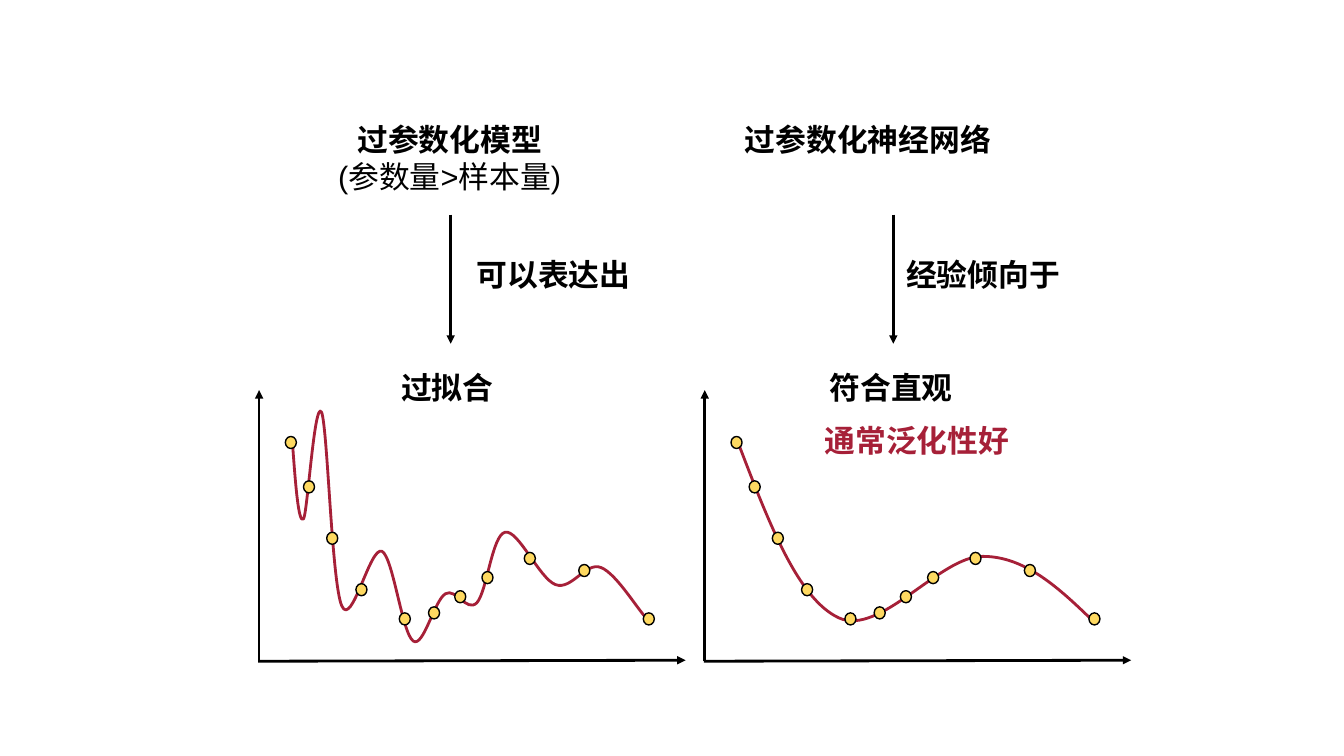
from dataclasses import dataclass

from lxml import etree
from pptx import Presentation
from pptx import util as u
from pptx.dml.color import RGBColor
from pptx.enum import shapes, text
from pptx.oxml import ns
from pptx.slide import Slide

BLACK = RGBColor(0x00, 0x00, 0x00)
CRIMSON = RGBColor(0xA6, 0x20, 0x38)
YELLOW = RGBColor(0xFE, 0xD9, 0x61)
LEFT, CENTER = text.PP_ALIGN.LEFT, text.PP_ALIGN.CENTER

PANEL_SHIFT = 4.42
DOT_WIDTH, DOT_HEIGHT = 0.11, 0.12
Point = tuple[float, float]


@dataclass(frozen=True)
class Label:
    left: float
    top: float
    width: float
    height: float
    lines: tuple[tuple[str, bool], ...]
    color: RGBColor = BLACK
    align: text.PP_ALIGN = LEFT


@dataclass(frozen=True)
class Panel:
    shift: float
    curve: tuple[Point, ...]


@dataclass(frozen=True)
class Arrow:
    start: Point
    end: Point


SAMPLES: tuple[Point, ...] = (
    (2.83, 4.33), (3.01, 4.77), (3.24, 5.28), (3.53, 5.79), (3.96, 6.08), (4.25, 6.02),
    (4.51, 5.86), (4.78, 5.67), (5.2, 5.48), (5.74, 5.6), (6.38, 6.08),
)

OVERFIT_CURVE: tuple[Point, ...] = (
    (2.9, 4.38),
    (2.93, 4.79), (2.96, 5.2), (3.01, 5.15),
    (3.05, 5.1), (3.12, 3.95), (3.19, 4.09),
    (3.25, 4.24), (3.29, 5.78), (3.39, 6.01),
    (3.49, 6.24), (3.67, 5.41), (3.79, 5.47),
    (3.9, 5.53), (3.99, 6.29), (4.1, 6.36),
    (4.2, 6.43), (4.31, 5.95), (4.42, 5.89),
    (4.52, 5.83), (4.63, 6.08), (4.73, 5.98),
    (4.83, 5.87), (4.88, 5.31), (5.01, 5.28),
    (5.14, 5.25), (5.35, 5.74), (5.51, 5.8),
    (5.67, 5.86), (5.81, 5.57), (5.96, 5.63),
    (6.12, 5.69), (6.35, 6.09), (6.43, 6.15),
)

SMOOTH_CURVE: tuple[Point, ...] = (
    (7.32, 4.39),
    (7.62, 5.17), (7.91, 5.94), (8.32, 6.13),
    (8.73, 6.32), (9.33, 5.51), (9.75, 5.52),
    (10.17, 5.52), (10.51, 5.84), (10.85, 6.17),
)

PANELS = (Panel(0, OVERFIT_CURVE), Panel(PANEL_SHIFT, SMOOTH_CURVE))

STEP_ARROWS = (
    Arrow((4.47, 2.13), (4.47, 3.41)),
    Arrow((8.86, 2.13), (8.86, 3.41)),
)

LABELS = (
    Label(2.88, 1.15, 3.16, 0.84,
          (("过参数化模型", True), ("(参数量>样本量)", False)), align=CENTER),
    Label(7.29, 1.15, 3.45, 0.47, (("过参数化神经网络", True),)),
    Label(4.63, 2.49, 2.26, 0.47, (("可以表达出", True),)),
    Label(8.89, 2.49, 2.26, 0.47, (("经验倾向于", True),)),
    Label(3.88, 3.61, 1.46, 0.47, (("过拟合", True),)),
    Label(8.13, 3.61, 2.52, 0.47, (("符合直观", True),)),
    Label(8.08, 4.13, 3.28, 0.47, (("通常泛化性好", True),), color=CRIMSON),
)


def draw_curve(page: Slide, points: tuple[Point, ...]) -> None:
    corners = [(u.Inches(x), u.Inches(y)) for x, y in points]
    builder = page.shapes.build_freeform(*corners[0], scale=1.0)
    builder.add_line_segments(corners[1:], close=False)
    curve = builder.convert_to_shape()
    curve.shadow.inherit = False
    curve.fill.background()
    curve.line.color.rgb = CRIMSON
    curve.line.width = u.Pt(2)
    segments = list(curve._element.iter(ns.qn("a:lnTo")))
    for first in range(0, len(segments), 3):
        trio = segments[first:first + 3]
        bezier = etree.Element(ns.qn("a:cubicBezTo"))
        trio[0].addprevious(bezier)
        for segment in trio:
            bezier.append(segment[0])
            segment.getparent().remove(segment)


def draw_dot(page: Slide, left: float, top: float) -> None:
    dot = page.shapes.add_shape(
        shapes.MSO_SHAPE.OVAL, u.Inches(left), u.Inches(top),
        u.Inches(DOT_WIDTH), u.Inches(DOT_HEIGHT))
    dot.shadow.inherit = False
    dot.fill.solid()
    dot.fill.fore_color.rgb = YELLOW
    dot.line.color.rgb = BLACK
    dot.line.width = u.Pt(1)


def draw_arrow(page: Slide, arrow: Arrow) -> None:
    ends = [u.Inches(value) for value in arrow.start + arrow.end]
    connector = page.shapes.add_connector(shapes.MSO_CONNECTOR.STRAIGHT, *ends)
    connector.line.color.rgb = BLACK
    connector.line.width = u.Pt(2)
    etree.SubElement(connector.line._get_or_add_ln(), ns.qn("a:tailEnd"), type="triangle")
    etree.SubElement(connector._element.spPr, ns.qn("a:effectLst"))


def draw_panel(page: Slide, panel: Panel) -> None:
    draw_curve(page, panel.curve)
    for left, top in SAMPLES:
        draw_dot(page, left + panel.shift, top)
    origin = 2.57 + panel.shift
    draw_arrow(page, Arrow((origin, 6.56), (origin, 3.87)))
    draw_arrow(page, Arrow((origin - 0.01, 6.56), (origin + 4.23, 6.55)))


def draw_label(page: Slide, label: Label) -> None:
    box = page.shapes.add_textbox(
        u.Inches(label.left), u.Inches(label.top), u.Inches(label.width), u.Inches(label.height))
    frame = box.text_frame
    frame.word_wrap = True
    frame.auto_size = text.MSO_AUTO_SIZE.SHAPE_TO_FIT_TEXT
    for index, (wording, bold) in enumerate(label.lines):
        para = frame.add_paragraph() if index else frame.paragraphs[0]
        para.alignment = label.align
        span = para.add_run()
        span.text = wording
        span.font.color.rgb = label.color
        for name, value in {"name": "Arial", "size": u.Pt(22), "bold": bold}.items():
            setattr(span.font, name, value)


def main() -> None:
    deck = Presentation()
    deck.slide_width, deck.slide_height = u.Inches(13.33), u.Inches(7.5)
    page = deck.slides.add_slide(deck.slide_layouts[6])
    for panel in PANELS:
        draw_panel(page, panel)
    for arrow in STEP_ARROWS:
        draw_arrow(page, arrow)
    for label in LABELS:
        draw_label(page, label)
    deck.save("out.pptx")


if __name__ == "__main__":
    main()
